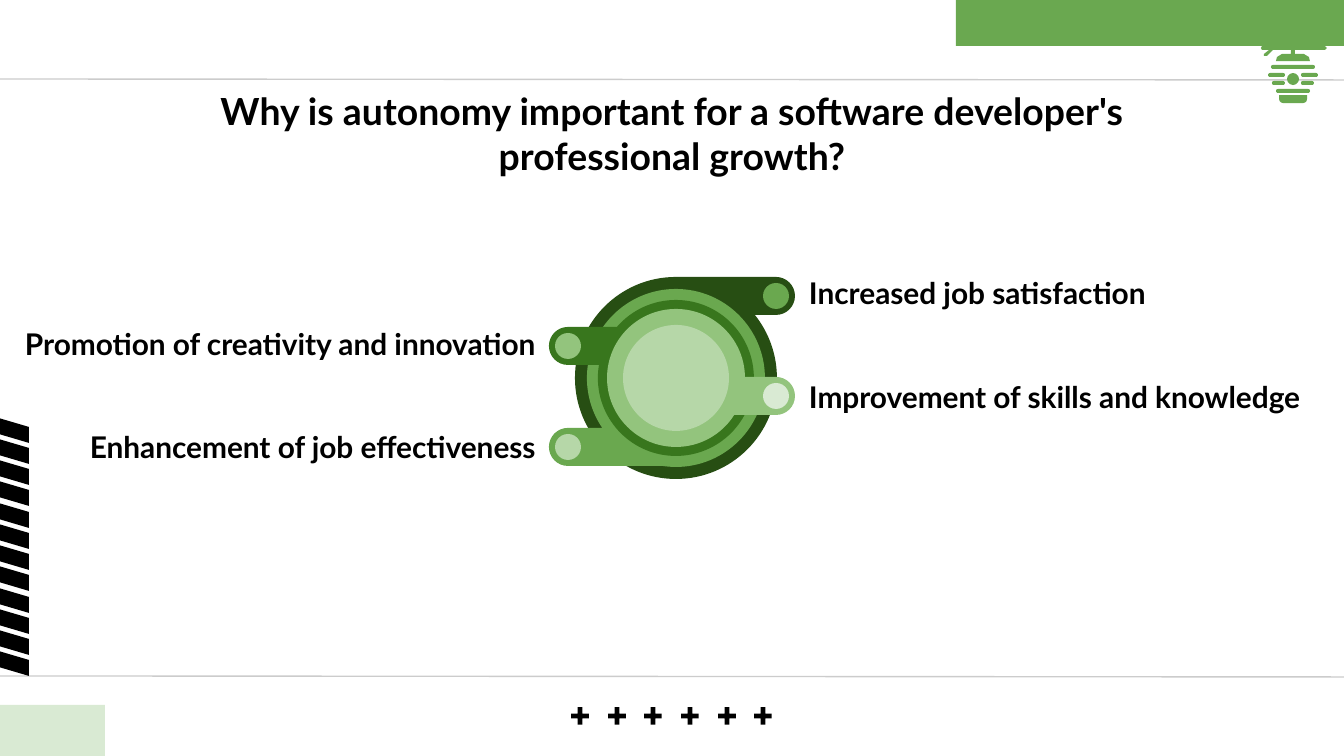
from dataclasses import dataclass
from math import asin, cos, pi, sin, tan

from lxml.etree import SubElement
from pptx import Presentation
from pptx.dml.color import RGBColor
from pptx.enum.shapes import MSO_CONNECTOR, MSO_SHAPE
from pptx.enum.text import MSO_ANCHOR, MSO_AUTO_SIZE, PP_ALIGN
from pptx.oxml.ns import qn
from pptx.util import Pt

SCALE = 914400 / 134.4


@dataclass(frozen=True)
class Theme:
    """Colours, font and type sizes of the slide."""
    font: str = "Lato"
    title: int = 20
    label: int = 16
    ink: str = "000000"
    rule: str = "CCCCCC"
    leaf: str = "6AA850"
    mist: str = "D9EAD3"
    pine: str = "274E13"
    moss: str = "38761D"
    grass: str = "6AA84F"
    lime: str = "93C47D"
    pale: str = "B6D7A8"


THEME = Theme()


def px(num):
    """Turn px into EMU."""
    return round(num * SCALE)


def paint(shape, color):
    """Give a shape a flat fill with no line or shadow."""
    shape.shadow.inherit = False
    shape.fill.solid()
    shape.fill.fore_color.rgb = RGBColor.from_string(color)
    shape.line.fill.background()


def add_form(slide, kind, box, color, turn=0, adjust=None):
    """Add a filled preset shape."""
    shape = slide.shapes.add_shape(kind, *map(px, box))
    paint(shape, color)
    shape.rotation = turn
    if adjust is not None:
        shape.adjustments[0] = adjust


def add_disc(slide, x, y, radius, color):
    """Add a filled circle about a centre."""
    box = (x - radius, y - radius, 2 * radius, 2 * radius)
    add_form(slide, MSO_SHAPE.OVAL, box, color)


def add_path(slide, points, color, bends=()):
    """Add a filled outline; each bend starts three points of a curve."""
    points = [(px(x), px(y)) for x, y in points]
    pen = slide.shapes.build_freeform(*points[0])
    pen.add_line_segments(points[1:], close=True)
    shape = pen.convert_to_shape()
    paint(shape, color)
    lines = list(shape._element.iter(qn("a:lnTo")))
    for i in bends:
        curve = SubElement(lines[i].getparent(), qn("a:cubicBezTo"))
        lines[i].addprevious(curve)
        for line in lines[i:i + 3]:
            curve.append(line[0])
            line.getparent().remove(line)


def add_line(slide, start, end, color, width):
    """Add a straight line without a shadow."""
    line = slide.shapes.add_connector(
        MSO_CONNECTOR.STRAIGHT, *map(px, start + end))
    line.line.color.rgb = RGBColor.from_string(color)
    line.line.width = Pt(width)
    SubElement(line._element.spPr, qn("a:effectLst"))


def add_text(slide, text, box, *, size, align=PP_ALIGN.LEFT,
             anchor=MSO_ANCHOR.TOP, grow=False):
    """Add a bold text box."""
    frame = slide.shapes.add_textbox(*map(px, box)).text_frame
    frame.word_wrap = True
    frame.auto_size = (MSO_AUTO_SIZE.SHAPE_TO_FIT_TEXT if grow
                       else MSO_AUTO_SIZE.NONE)
    frame.vertical_anchor = anchor
    frame.margin_left = frame.margin_right = px(13)
    frame.margin_top = frame.margin_bottom = px(13)
    para = frame.paragraphs[0]
    para.alignment = align
    run = para.add_run()
    run.text = text
    font = run.font
    font.name, font.size, font.bold = THEME.font, Pt(size), True
    font.color.rgb = RGBColor.from_string(THEME.ink)


def arc(x, y, radius, start, end):
    """List curve points along an arc, split at the quarters."""
    stops = [start]
    stops += [q * pi / 2 for q in range(-1, 5)
              if start + 0.01 < q * pi / 2 < end - 0.01]
    stops.append(end)
    points = [(x + radius * cos(start), y + radius * sin(start))]
    for a, b in zip(stops, stops[1:]):
        k = 4 / 3 * tan((b - a) / 4)
        spots = ((cos(a) - k * sin(a), sin(a) + k * cos(a)),
                 (cos(b) + k * sin(b), sin(b) - k * cos(b)),
                 (cos(b), sin(b)))
        points += [(x + radius * u, y + radius * v) for u, v in spots]
    return points


def add_ring(slide, hub, radius, tip, color, dot):
    """Add a disc with a round-ended arm and a dot at its tip."""
    (hx, hy), (tx, ty), cap = hub, tip, 19
    side = 1 if tx > hx else -1
    low, high = (asin(max(-1, min(1, (ty + edge - hy) / radius)))
                 for edge in (cap, -cap))
    body = arc(0, hy, radius, low, 2 * pi + high)
    end = arc(abs(tx - hx), ty, cap, -pi / 2, pi / 2)
    points = [(hx + side * x, y) for x, y in body + end]
    bends = [*range(0, len(body) - 1, 3),
             *range(len(body), len(points) - 1, 3)]
    add_path(slide, points, color, bends)
    add_disc(slide, tx, ty, 13, dot)


def add_frame(slide):
    """Add the rules, hatching, pluses and colour blocks."""
    for top, end in ((79, 80), (676, 677)):
        add_line(slide, (-5, top), (1349, end), THEME.rule, 0.75)
    for i in range(12):
        box = (-12, 402 + i * 85 // 4, 31, 51)
        add_form(slide, MSO_SHAPE.PARALLELOGRAM, box, THEME.ink, 90, 0.485)
    for i in range(6):
        box = (568 + (i * 183 + 3) // 5, 704, 24, 24)
        add_form(slide, MSO_SHAPE.MATH_PLUS, box, THEME.ink, adjust=0.197)
    for left, top, color in ((956, -5, THEME.leaf), (-285, 705, THEME.mist)):
        add_form(slide, MSO_SHAPE.RECTANGLE, (left, top, 390, 51), color)


def add_hive(slide):
    """Add the striped icon in the top corner."""
    bars = ((1271, 65, 44), (1268, 73, 17), (1301, 73, 17),
            (1272, 81, 13), (1301, 81, 13), (1276, 89, 34))
    for x, y, wide in bars:
        add_form(slide, MSO_SHAPE.ROUNDED_RECTANGLE, (x, y, wide, 4),
                 THEME.leaf, adjust=0.5)
    add_form(slide, MSO_SHAPE.ROUND_2_SAME_RECTANGLE, (1279, 95, 28, 8),
             THEME.leaf, 180, 0.5)
    add_disc(slide, 1293, 79, 6, THEME.leaf)
    roof = ((1309, 38), (1308, 41), (1312, 46), (1262, 46), (1261, 48),
            (1262, 50), (1269, 50), (1264, 54), (1264, 56), (1267, 56),
            (1273, 50), (1291, 50), (1291, 54), (1282, 54), (1277, 57),
            (1276, 61), (1310, 61), (1309, 57), (1304, 54), (1295, 54),
            (1295, 50), (1325, 50), (1327, 48), (1325, 46), (1317, 46),
            (1311, 38))
    add_path(slide, roof, THEME.leaf)


def main():
    """Build and save the slide."""
    deck = Presentation()
    deck.slide_width, deck.slide_height = px(1344), px(756)
    slide = deck.slides.add_slide(deck.slide_layouts[6])
    add_frame(slide)
    add_hive(slide)
    add_text(slide, "Why is autonomy important for a software developer's "
             "professional growth?", (195, 91, 954, 85), size=THEME.title,
             align=PP_ALIGN.CENTER, anchor=MSO_ANCHOR.MIDDLE)

    hub = (676, 378)
    rings = ((101, (776, 296), THEME.pine, THEME.grass),
             (89, (568, 447), THEME.grass, THEME.pale),
             (78, (568, 346), THEME.moss, THEME.lime),
             (69, (776, 396), THEME.lime, THEME.mist))
    for radius, tip, color, dot in rings:
        add_ring(slide, hub, radius, tip, color, dot)
    add_disc(slide, *hub, 53, THEME.pale)

    left, right = PP_ALIGN.LEFT, PP_ALIGN.RIGHT
    labels = (
        ("Increased job satisfaction", (796, 262, 433, 63), left),
        ("Improvement of skills and knowledge", (796, 366, 538, 63), left),
        ("Promotion of creativity and innovation", (0, 313, 549, 63), right),
        ("Enhancement of job effectiveness", (0, 416, 549, 63), right))
    for text, box, align in labels:
        add_text(slide, text, box, size=THEME.label, align=align, grow=True)
    deck.save("out.pptx")


if __name__ == "__main__":
    main()
